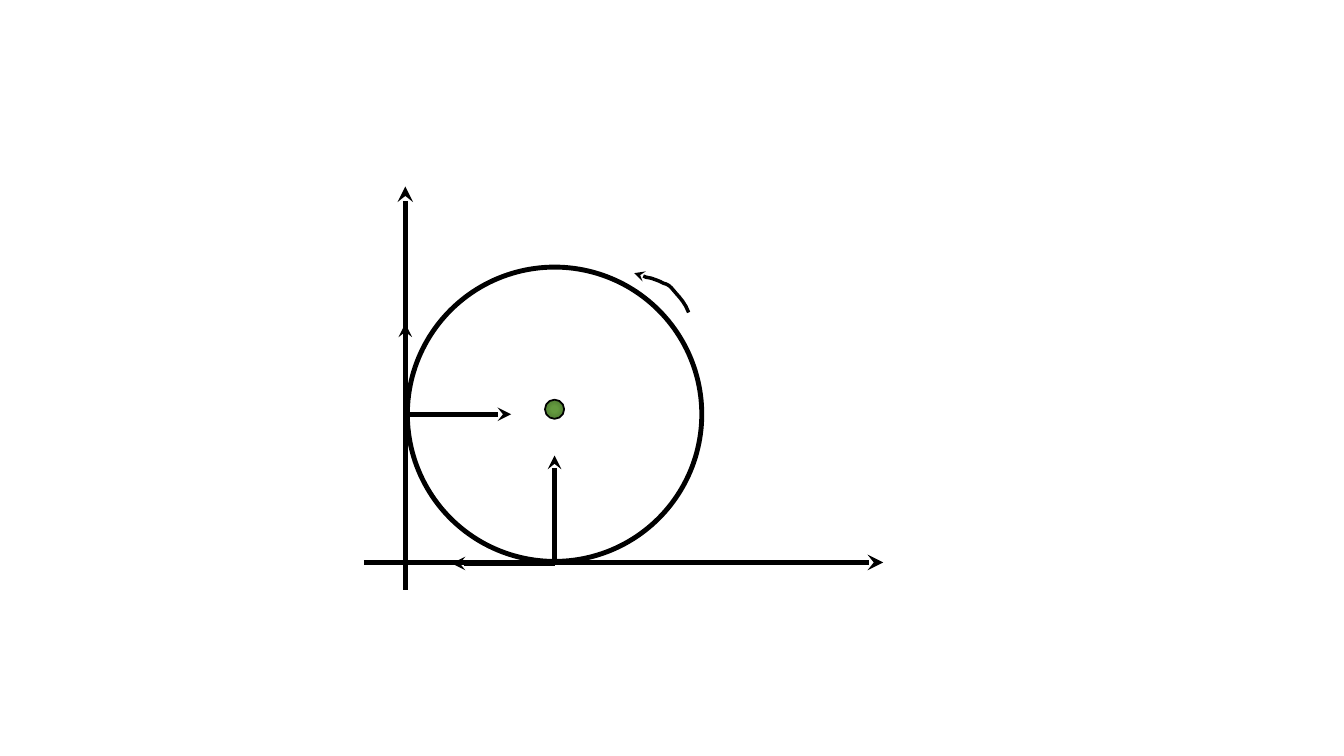
from pptx import Presentation
from pptx.dml.color import RGBColor
from pptx.enum.shapes import MSO_CONNECTOR as CONN, MSO_SHAPE as SHAPE
from pptx.oxml import parse_xml
from pptx.oxml.ns import nsdecls
from pptx.util import Inches, Pt

BLACK = RGBColor(0x00, 0x00, 0x00)
DOT_STOPS = [
    (0, RGBColor(0x64, 0x9A, 0x3F)),
    (23, RGBColor(0x64, 0x9A, 0x3F)),
    (69, RGBColor(0x54, 0x82, 0x35)),
    (97, RGBColor(0x4E, 0x79, 0x32)),
]
SPIN_CURVES = [
    [(2.81, -2.48), (2.77, -2.59), (2.70, -2.65), (2.66, -2.70)],
    [(2.66, -2.70), (2.62, -2.75), (2.60, -2.76), (2.56, -2.77)],
    [(2.56, -2.77), (2.52, -2.79), (2.55, -2.78), (2.44, -2.82)],
    [(2.44, -2.82), (2.33, -2.83), (2.34, -2.88), (2.27, -2.87)],
]


def style_line(s, width, arrow=False):
    """Give a shape or connector a black outline, with an optional arrowhead."""
    s.line.color.rgb = BLACK
    s.line.width = Pt(width)
    if arrow:
        ln = s.line._get_or_add_ln()
        ln.append(parse_xml(f'<a:tailEnd {nsdecls("a")} type="stealth"/>'))


def add_arrow(slide, start, end, width=3.25):
    """Draw a straight arrow between two points in inches."""
    c = slide.shapes.add_connector(CONN.STRAIGHT, *map(Inches, start + end))
    style_line(c, width, arrow=True)
    c._element.spPr.append(parse_xml(f'<a:effectLst {nsdecls("a")}/>'))


def add_circle(slide, cx, cy, diameter, width):
    """Draw an unfilled circle around a centre in inches."""
    r = diameter / 2
    s = slide.shapes.add_shape(
        SHAPE.OVAL, *map(Inches, (cx - r, cy - r, diameter, diameter)))
    s.shadow.inherit = False
    s.fill.background()
    style_line(s, width)
    return s


def fill_radial(s, stops):
    """Fill a shape with a gradient that spreads from its centre."""
    s.fill.gradient()
    grad = s._element.spPr.find(
        '{http://schemas.openxmlformats.org/drawingml/2006/main}gradFill')
    gs = ''.join(f'<a:gs pos="{pos * 1000}"><a:srgbClr val="{color}"/></a:gs>'
                 for pos, color in stops)
    new = parse_xml(
        f'<a:gradFill {nsdecls("a")}><a:gsLst>{gs}</a:gsLst><a:path path="circle">'
        '<a:fillToRect l="50000" t="50000" r="50000" b="50000"/></a:path></a:gradFill>')
    grad.getparent().replace(grad, new)


def curve_point(curve, t):
    """Return the point at t on a cubic Bezier curve."""
    weights = ((1 - t) ** 3, 3 * t * (1 - t) ** 2, 3 * t ** 2 * (1 - t), t ** 3)
    return tuple(sum(w * p[i] for w, p in zip(weights, curve)) for i in (0, 1))


def add_spin_arrow(slide, x, y, steps=5):
    """Draw the curved rotation arrow relative to the corner of the axes."""
    points = [SPIN_CURVES[0][0]]
    points += [curve_point(c, k / steps)
               for c in SPIN_CURVES for k in range(1, steps + 1)]
    points = [(Inches(x + dx), Inches(y + dy)) for dx, dy in points]
    builder = slide.shapes.build_freeform(*points[0])
    builder.add_line_segments(points[1:], close=False)
    s = builder.convert_to_shape()
    s.shadow.inherit = False
    s.fill.background()
    style_line(s, 2.5, arrow=True)


def add_axes(slide, x, y):
    """Draw the wall and floor axes that cross at a corner."""
    add_arrow(slide, (x, y + 0.27), (x, y - 3.73), 3.75)
    add_arrow(slide, (x - 0.41, y), (x + 4.74, y), 3.75)


def add_wheel(slide, x, y):
    """Draw the spinning wheel that touches both axes and its contact forces."""
    cx, cy = x + 1.48, y - 1.47
    add_circle(slide, cx, cy, 2.92, 3.5)
    dot = add_circle(slide, cx, cy - 0.05, 0.19, 1.25)
    fill_radial(dot, DOT_STOPS)
    add_arrow(slide, (cx, y), (cx, y - 1.06))
    add_arrow(slide, (cx, y + 0.01), (cx - 1.02, y + 0.01))
    add_arrow(slide, (x + 0.02, cy), (x + 1.05, cy))
    add_arrow(slide, (x, cy), (x, cy - 0.9))
    add_spin_arrow(slide, x, y)


def main():
    """Build the slide and save it."""
    prs = Presentation()
    prs.slide_width, prs.slide_height = Inches(13.33), Inches(7.5)
    slide = prs.slides.add_slide(prs.slide_layouts[6])
    corner = (4.02, 5.58)
    add_axes(slide, *corner)
    add_wheel(slide, *corner)
    prs.save("out.pptx")


if __name__ == "__main__":
    main()
